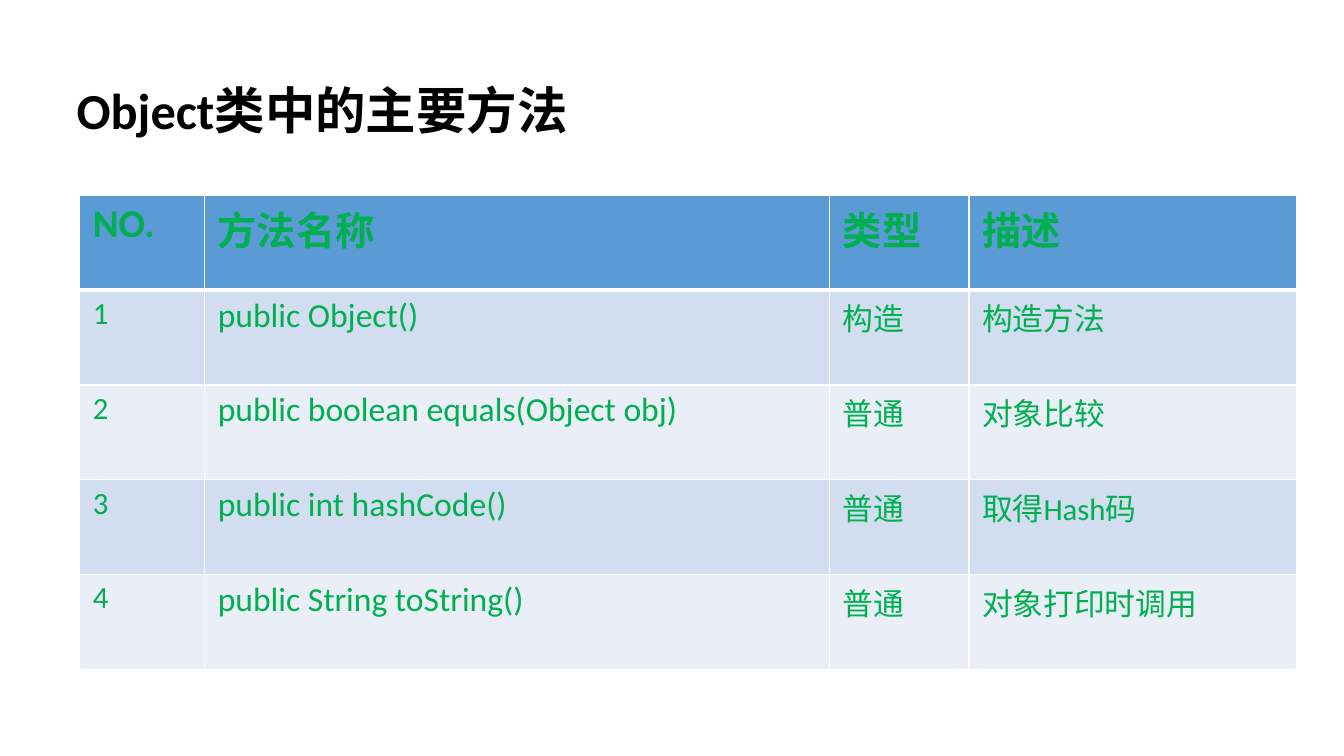
from dataclasses import dataclass

from lxml.etree import SubElement
from pptx import Presentation
from pptx.dml.color import RGBColor
from pptx.enum.text import MSO_ANCHOR, PP_ALIGN
from pptx.oxml.ns import qn
from pptx.slide import Slide
from pptx.table import _Cell
from pptx.text.text import _Paragraph
from pptx.util import Inches, Pt

BLACK = RGBColor(0x00, 0x00, 0x00)
WHITE = RGBColor(0xFF, 0xFF, 0xFF)
GREEN = RGBColor(0x00, 0xB0, 0x50)
HEADER_BLUE = RGBColor(0x5B, 0x9B, 0xD5)
BANDS = (RGBColor(0xD2, 0xDE, 0xEF), RGBColor(0xEA, 0xEF, 0xF7))

TABLE_LEFT, TABLE_TOP = 0.79, 1.94
COLUMN_WIDTHS = (1.24, 6.2, 1.38, 3.25)
ROW_HEIGHT = 0.94
HEADER_SIZE = 28
COLUMN_SIZES = (22, 24, 22, 22)
RULE, HEADER_RULE = 1, 3
CELL_FORMAT = {
    "margin_left": Inches(0.13),
    "margin_right": Inches(0.13),
    "margin_top": Inches(0.05),
    "margin_bottom": Inches(0.05),
    "vertical_anchor": MSO_ANCHOR.TOP,
}
HEADINGS = ("NO.", "方法名称", "类型", "描述")


@dataclass(frozen=True)
class Method:
    signature: str
    category: str
    description: str


METHODS = (
    Method("public Object()", "构造", "构造方法"),
    Method("public boolean equals(Object obj)", "普通", "对象比较"),
    Method("public int hashCode()", "普通", "取得Hash码"),
    Method("public String toString()", "普通", "对象打印时调用"),
)


def write(paragraph: _Paragraph, text: str, size: float, color: RGBColor, bold: bool) -> None:
    run = paragraph.add_run()
    run.text = text
    for name, value in {"name": "Calibri", "size": Pt(size), "bold": bold}.items():
        setattr(run.font, name, value)
    run.font.color.rgb = color


def add_borders(cell: _Cell, top: float, bottom: float) -> None:
    """Rule all four sides in white; call before filling, as the schema wants lines first."""
    properties = cell._tc.get_or_add_tcPr()
    for side, width in {"lnL": RULE, "lnR": RULE, "lnT": top, "lnB": bottom}.items():
        line = SubElement(properties, qn(f"a:{side}"), w=str(Pt(width)))
        fill = SubElement(line, qn("a:solidFill"))
        SubElement(fill, qn("a:srgbClr"), val=str(WHITE))


def add_title(slide: Slide) -> None:
    title = slide.shapes.title
    box = {"left": 0.66, "top": 0.73, "width": 7.56, "height": 0.71}
    for name, inches in box.items():
        setattr(title, name, Inches(inches))
    title.text_frame.vertical_anchor = MSO_ANCHOR.MIDDLE
    heading = title.text_frame.paragraphs[0]
    heading.alignment = PP_ALIGN.LEFT
    write(heading, "Object类中的主要方法", 36, BLACK, True)


def add_method_table(slide: Slide) -> None:
    rows = [HEADINGS] + [
        (str(number), method.signature, method.category, method.description)
        for number, method in enumerate(METHODS, start=1)
    ]
    table = slide.shapes.add_table(
        len(rows), len(HEADINGS), Inches(TABLE_LEFT), Inches(TABLE_TOP),
        Inches(sum(COLUMN_WIDTHS)), Inches(ROW_HEIGHT * len(rows)),
    ).table
    for column, width in zip(table.columns, COLUMN_WIDTHS):
        column.width = Inches(width)
    for index, texts in enumerate(rows):
        table.rows[index].height = Inches(ROW_HEIGHT)
        is_header = index == 0
        for column_index, text in enumerate(texts):
            cell = table.cell(index, column_index)
            for name, value in CELL_FORMAT.items():
                setattr(cell, name, value)
            add_borders(
                cell,
                top=HEADER_RULE if index == 1 else RULE,
                bottom=HEADER_RULE if is_header else RULE,
            )
            cell.fill.solid()
            cell.fill.fore_color.rgb = HEADER_BLUE if is_header else BANDS[(index - 1) % 2]
            size = HEADER_SIZE if is_header else COLUMN_SIZES[column_index]
            write(cell.text_frame.paragraphs[0], text, size, GREEN, is_header)


def main() -> None:
    presentation = Presentation()
    presentation.slide_width = Inches(13.33)
    presentation.slide_height = Inches(7.5)
    title_only = presentation.slide_layouts[5]
    slide = presentation.slides.add_slide(title_only)
    add_title(slide)
    add_method_table(slide)
    presentation.save("out.pptx")


if __name__ == "__main__":
    main()
